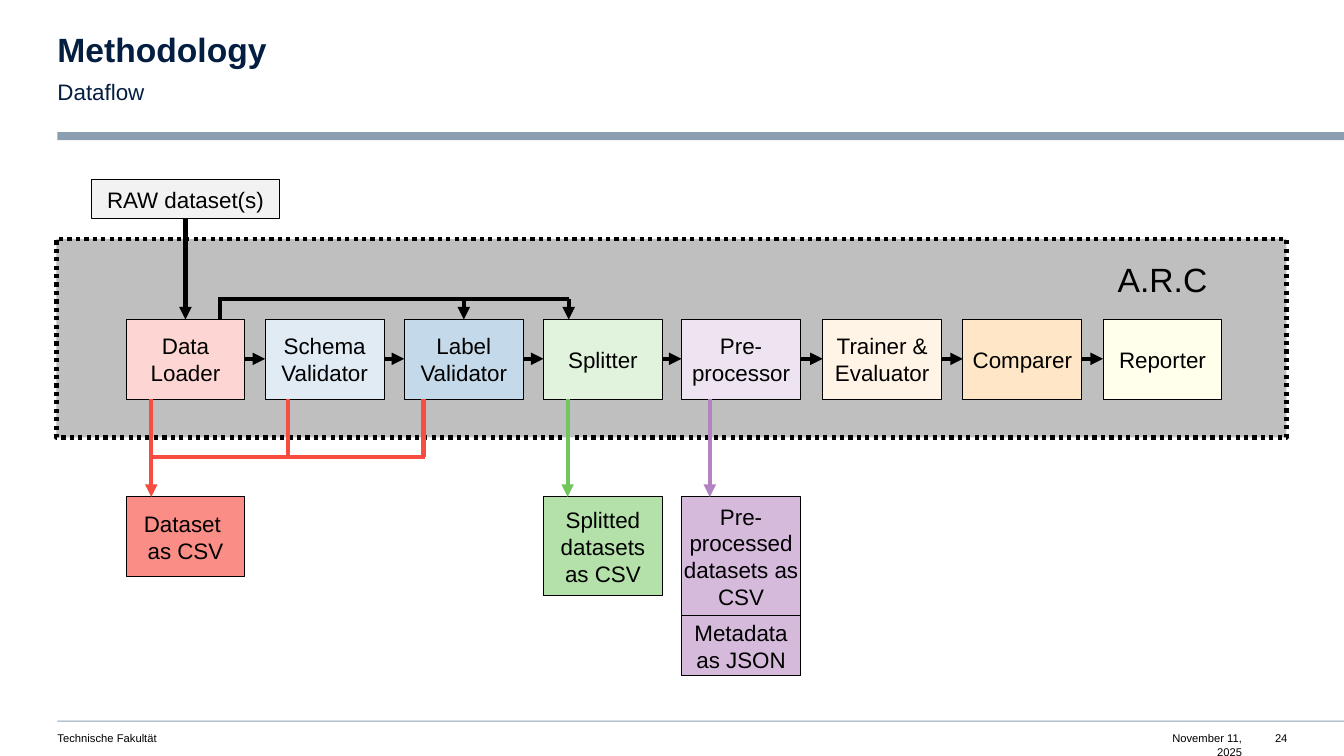
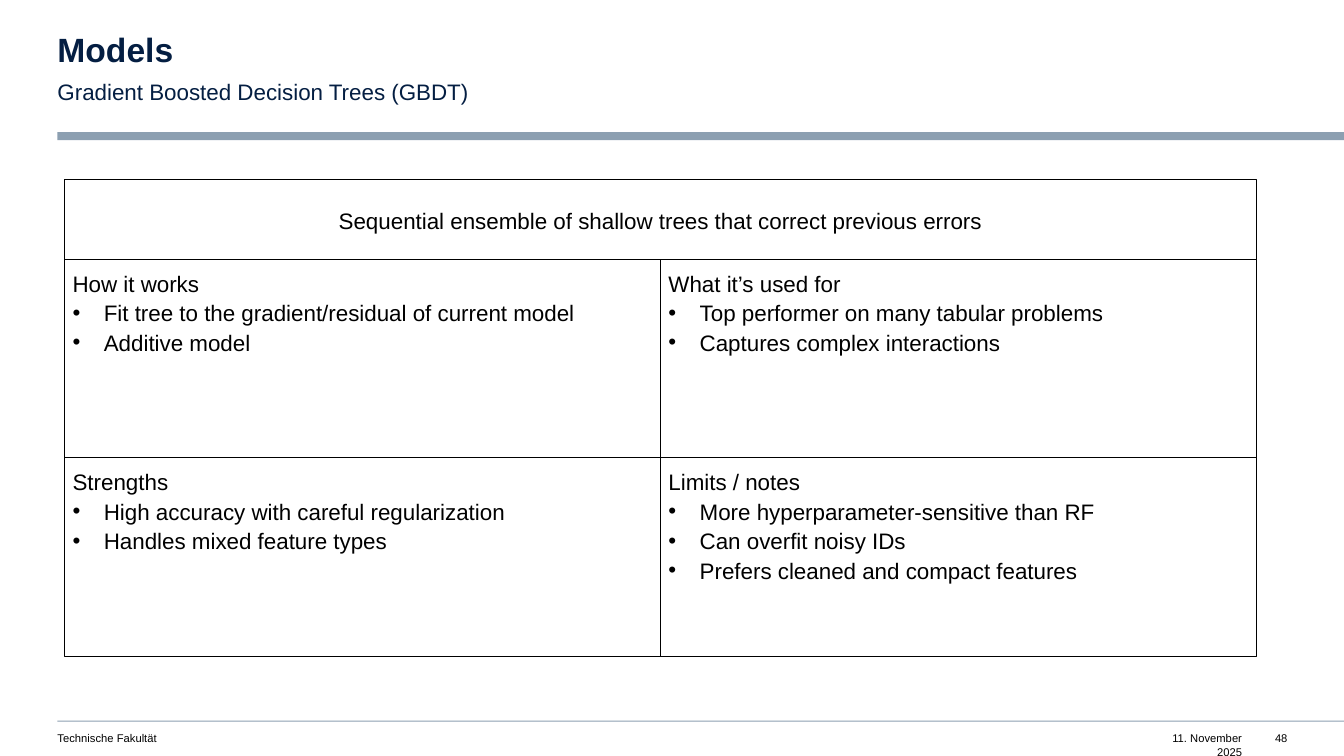
"""Build two slides: a dataflow diagram and a model summary grid."""
from lxml.etree import SubElement
from pptx import Presentation
from pptx.dml.color import RGBColor
from pptx.enum.dml import MSO_LINE
from pptx.enum.shapes import MSO_CONNECTOR, MSO_SHAPE
from pptx.enum.text import MSO_ANCHOR, MSO_AUTO_SIZE, PP_ALIGN
from pptx.oxml.ns import qn
from pptx.util import Inches, Pt

COLORS = {
    "navy": "041E42", "band": "8C9FB1", "black": "000000", "frame": "BFBFBF",
    "raw": "F2F2F2", "red": "F74C3F", "green": "71C75D", "purple": "B382C0",
    "loader": "FDD6D3", "schema": "E0EBF4", "label": "C4D9EA",
    "splitter": "E1F3DD", "preprocessor": "EEE3F1", "trainer": "FFF4E5",
    "comparer": "FEE6C6", "reporter": "FFFFEB",
    "dataset": "FA8E86", "split": "B4E1A9", "processed": "D5BADC",
}
FONT = "Arial"
MARGIN = 0.57
SLIDE_WIDTH, SLIDE_HEIGHT = 13.33, 7.5
DEFAULT_INSETS = (0.1, 0.05, 0.1, 0.05)
TIGHT_INSETS = (0, 0.05, 0, 0.05)
NO_INSETS = (0, 0, 0, 0)

FACULTY = "Technische Fakultät"
DATAFLOW = {"title": "Methodology", "subtitle": "Dataflow",
            "date": "November 11, 2025", "number": "24"}
MODELS = {"title": "Models", "subtitle": "Gradient Boosted Decision Trees (GBDT)",
          "date": "11. November 2025", "number": "48"}

STAGE_WIDTH, STAGE_HEIGHT = 1.18, 0.79
STAGE_TOP, OUTPUT_TOP = 3.17, 4.93
STAGE_BOTTOM = STAGE_TOP + STAGE_HEIGHT
STAGES = [
    ("Data Loader", 1.25, "loader", DEFAULT_INSETS),
    ("Schema\nValidator", 2.63, "schema", DEFAULT_INSETS),
    ("Label\nValidator", 4.01, "label", DEFAULT_INSETS),
    ("Splitter", 5.39, "splitter", DEFAULT_INSETS),
    ("Pre-\nprocessor", 6.76, "preprocessor", TIGHT_INSETS),
    ("Trainer &\nEvaluator", 8.16, "trainer", DEFAULT_INSETS),
    ("Comparer", 9.55, "comparer", TIGHT_INSETS),
    ("Reporter", 10.94, "reporter", DEFAULT_INSETS),
]
OUTPUTS = [
    ("Dataset \nas CSV", 1.25, OUTPUT_TOP, 0.79, "dataset", DEFAULT_INSETS),
    ("Splitted datasets as CSV", 5.39, OUTPUT_TOP, 0.98, "split", DEFAULT_INSETS),
    ("Pre-processed datasets as CSV", 6.76, OUTPUT_TOP, 1.18, "processed", TIGHT_INSETS),
    ("Metadata as JSON", 6.76, OUTPUT_TOP + 1.18, 0.59, "processed", TIGHT_INSETS),
]
OUTPUT_ARROWS = [(1.5, "red"), (5.63, "green"), (7.04, "purple")]
BYPASS_TOP, MERGE_TOP = 2.97, 4.53
BYPASS_TARGETS = [4.6, 5.64]
MERGE_SOURCES = [2.86, 4.2]

SUMMARY = "Sequential ensemble of shallow trees that correct previous errors"
QUADRANTS = [
    ("How it works", ["Fit tree to the gradient/residual of current model",
                      "Additive model"]),
    ("What it’s used for", ["Top performer on many tabular problems",
                            "Captures complex interactions"]),
    ("Strengths", ["High accuracy with careful regularization",
                   "Handles mixed feature types"]),
    ("Limits / notes", ["More hyperparameter-sensitive than RF",
                        "Can overfit noisy IDs",
                        "Prefers cleaned and compact features"]),
]
GRID_LEFT, GRID_TOP = 0.64, 1.78
SUMMARY_HEIGHT, CELL_WIDTH, CELL_HEIGHT = 0.79, 5.91, 1.97


def color(name):
    return RGBColor.from_string(COLORS[name])


def write(shape, text, size=16, font_color="black", bold=False, align=PP_ALIGN.CENTER,
          anchor=MSO_ANCHOR.MIDDLE, insets=DEFAULT_INSETS, spacing=None,
          wrap=True, grow=False, bullets_from=None):
    frame = shape.text_frame
    frame.text = text
    frame.word_wrap = wrap
    frame.vertical_anchor = anchor
    frame.auto_size = MSO_AUTO_SIZE.SHAPE_TO_FIT_TEXT if grow else MSO_AUTO_SIZE.NONE
    frame.margin_left, frame.margin_top, frame.margin_right, frame.margin_bottom = map(Inches, insets)
    for index, para in enumerate(frame.paragraphs):
        para.alignment = align
        if spacing:
            para.line_spacing = spacing
        if bullets_from is not None and index >= bullets_from:
            properties = para._p.get_or_add_pPr()
            properties.set("marL", str(Inches(0.31)))
            properties.set("indent", str(Inches(-0.31)))
            SubElement(properties, qn("a:buFont")).set("typeface", FONT)
            SubElement(properties, qn("a:buChar")).set("char", "•")
        for span in para.runs:
            span.font.name = FONT
            span.font.size = Pt(size)
            span.font.bold = bold
            span.font.color.rgb = color(font_color)


def add_box(page, left, top, width, height, fill=None, line=None, weight=0.75):
    box = page.shapes.add_shape(MSO_SHAPE.RECTANGLE, *map(Inches, (left, top, width, height)))
    box.shadow.inherit = False
    if fill:
        box.fill.solid()
        box.fill.fore_color.rgb = color(fill)
    else:
        box.fill.background()
    if line:
        box.line.color.rgb = color(line)
        box.line.width = Pt(weight)
    else:
        box.line.fill.background()
    return box


def add_label(page, text, left, top, width, height, **style):
    label = page.shapes.add_textbox(*map(Inches, (left, top, width, height)))
    write(label, text, **style)


def add_line(page, start, end, line="black", arrow=False):
    connector = page.shapes.add_connector(MSO_CONNECTOR.STRAIGHT, *map(Inches, start + end))
    connector.line.color.rgb = color(line)
    connector.line.width = Pt(3)
    if arrow:
        SubElement(connector.line._get_or_add_ln(), qn("a:tailEnd")).set("type", "triangle")
    SubElement(connector._element.spPr, qn("a:effectLst"))


def add_page(deck, heading):
    page = deck.slides.add_slide(deck.slide_layouts[6])
    for top, height in [(1.31, 0.08), (7.15, 0.01)]:
        add_box(page, MARGIN, top, SLIDE_WIDTH - MARGIN, height, "band")
    head = {"font_color": "navy", "align": PP_ALIGN.LEFT, "anchor": MSO_ANCHOR.TOP, "grow": True}
    add_label(page, heading["title"], MARGIN, 0.33, 7.49, 0.36, size=24, bold=True,
              insets=NO_INSETS, spacing=0.9, **head)
    add_label(page, heading["subtitle"], MARGIN, 0.75, 7.49, 0.27,
              insets=(0, 0, 0.39, 0), spacing=1.1, **head)
    for text, left, width, align in [
        (FACULTY, MARGIN, 5.98, PP_ALIGN.LEFT),
        (heading["date"], 11.39, 0.93, PP_ALIGN.RIGHT),
        (heading["number"], 12.56, 0.21, PP_ALIGN.RIGHT),
    ]:
        add_label(page, text, left, 7.26, width, 0.13, size=8, align=align, insets=NO_INSETS,
                  anchor=MSO_ANCHOR.TOP, wrap=align == PP_ALIGN.LEFT, grow=True)
    return page


def build_dataflow(deck):
    page = add_page(deck, DATAFLOW)
    frame = add_box(page, 0.56, 2.37, 12.2, 1.97, "frame", "black", 3)
    frame.line.dash_style = MSO_LINE.ROUND_DOT
    add_label(page, "A.R.C", STAGES[-1][1], 2.37, STAGE_WIDTH, STAGE_HEIGHT, size=24)
    write(add_box(page, 0.91, 1.78, 1.86, 0.39, "raw", "black"), "RAW dataset(s)")
    add_line(page, (1.84, 2.17), (1.84, STAGE_TOP), arrow=True)

    for text, left, fill, insets in STAGES:
        box = add_box(page, left, STAGE_TOP, STAGE_WIDTH, STAGE_HEIGHT, fill, "black")
        write(box, text, insets=insets)
    for stage, following in zip(STAGES, STAGES[1:]):
        add_line(page, (stage[1] + STAGE_WIDTH, 3.56), (following[1], 3.56), arrow=True)

    add_line(page, (2.18, STAGE_TOP), (2.18, BYPASS_TOP))
    add_line(page, (2.16, BYPASS_TOP), (BYPASS_TARGETS[-1], BYPASS_TOP))
    for across in BYPASS_TARGETS:
        add_line(page, (across, BYPASS_TOP), (across, STAGE_TOP), arrow=True)

    for text, left, top, height, fill, insets in OUTPUTS:
        write(add_box(page, left, top, STAGE_WIDTH, height, fill, "black"), text, insets=insets)
    for across, line in OUTPUT_ARROWS:
        add_line(page, (across, STAGE_BOTTOM), (across, OUTPUT_TOP), line, arrow=True)
    add_line(page, (1.48, MERGE_TOP), (4.22, MERGE_TOP), "red")
    for across in MERGE_SOURCES:
        add_line(page, (across, MERGE_TOP), (across, STAGE_BOTTOM), "red")


def build_models(deck):
    page = add_page(deck, MODELS)
    summary = add_box(page, GRID_LEFT, GRID_TOP, 2 * CELL_WIDTH, SUMMARY_HEIGHT, line="black")
    write(summary, SUMMARY, insets=(0.2, 0.2, 0.2, 0.2), spacing=1.1)
    for index, (heading, points) in enumerate(QUADRANTS):
        row, column = divmod(index, 2)
        cell = add_box(page, GRID_LEFT + column * CELL_WIDTH,
                       GRID_TOP + SUMMARY_HEIGHT + row * CELL_HEIGHT,
                       CELL_WIDTH, CELL_HEIGHT, line="black")
        write(cell, "\n".join([heading] + points), align=PP_ALIGN.LEFT, anchor=MSO_ANCHOR.TOP,
              insets=(0.08, 0.08, 0.08, 0.08), spacing=1.1, bullets_from=1)


def main():
    deck = Presentation()
    deck.slide_width, deck.slide_height = Inches(SLIDE_WIDTH), Inches(SLIDE_HEIGHT)
    build_dataflow(deck)
    build_models(deck)
    deck.save("out.pptx")


if __name__ == "__main__":
    main()
